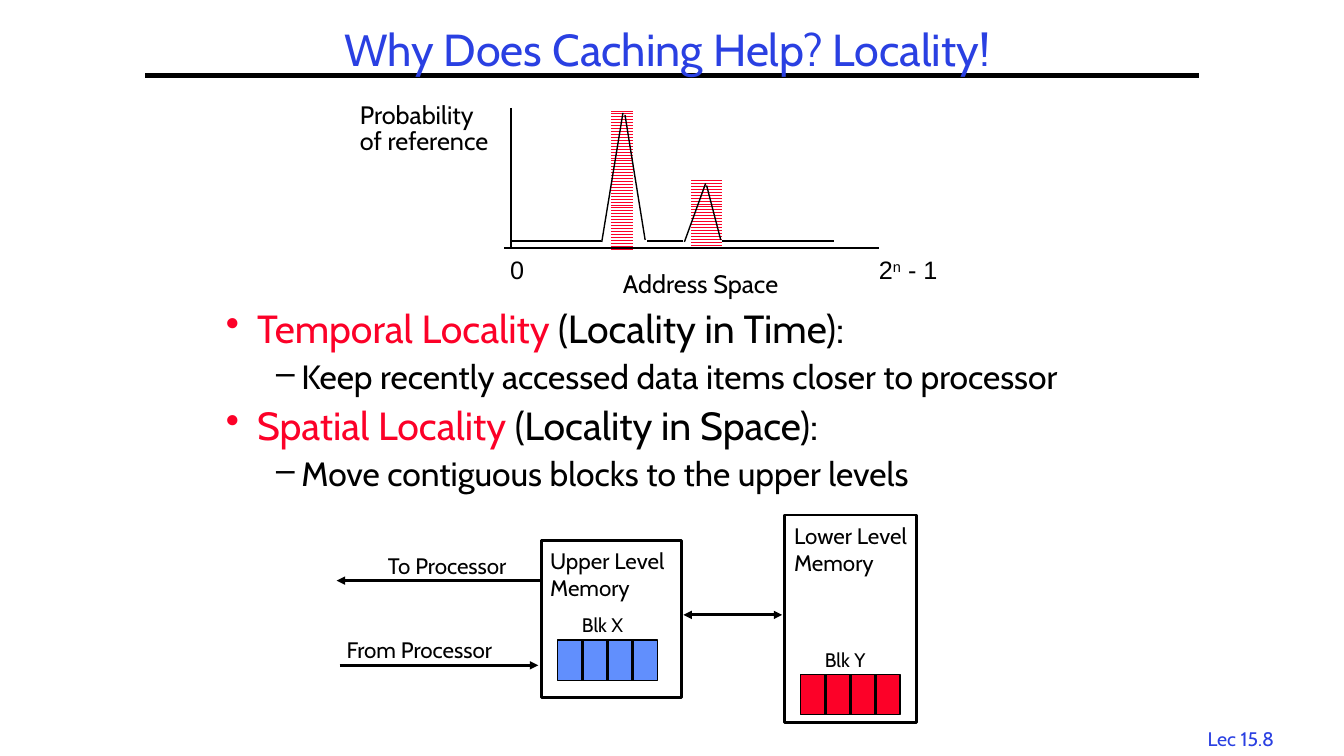
from dataclasses import dataclass
from typing import Optional

from lxml import etree
from pptx import Presentation
from pptx.dml.color import RGBColor
from pptx.enum.dml import MSO_PATTERN
from pptx.enum.shapes import MSO_CONNECTOR, MSO_SHAPE
from pptx.enum.text import MSO_ANCHOR, MSO_AUTO_SIZE, PP_ALIGN
from pptx.oxml.ns import qn
from pptx.util import Emu, Inches, Pt

RECTANGLE = MSO_SHAPE.RECTANGLE
STRAIGHT = MSO_CONNECTOR.STRAIGHT
ZIG_ZAG = MSO_PATTERN.ZIG_ZAG
LEFT, CENTER = PP_ALIGN.LEFT, PP_ALIGN.CENTER
TOP = MSO_ANCHOR.TOP
GROW, FIXED = MSO_AUTO_SIZE.SHAPE_TO_FIT_TEXT, MSO_AUTO_SIZE.NONE

BLACK = RGBColor(0x00, 0x00, 0x00)
WHITE = RGBColor(0xFF, 0xFF, 0xFF)
TITLE_BLUE = RGBColor(0x2A, 0x40, 0xE2)
BLOCK_BLUE = RGBColor(0x61, 0x8F, 0xFD)
RED = RGBColor(0xFC, 0x01, 0x28)

# Grid: ten columns and ten rows to the inch
CELL = Inches(0.1)
SLIDE_COLUMNS, SLIDE_ROWS = 133.33, 75
NARROW, WIDE = (0.7, 0.3), (1, 0.5)
BLOCK_COLUMNS, BLOCK_ROWS, BLOCK_PARTS = 9.9, 4, 4


def cells(count: float) -> Emu:
    return Emu(round(count * CELL))


@dataclass(frozen=True)
class Area:
    column: float
    row: float
    columns: float
    rows: float

    def lengths(self) -> list[Emu]:
        return [cells(n) for n in (self.column, self.row, self.columns, self.rows)]


@dataclass(frozen=True)
class Span:
    text: str
    color: RGBColor = BLACK
    raised: bool = False


@dataclass(frozen=True)
class Line:
    spans: tuple[Span, ...]
    size: float
    bullet: str = ""
    margin: float = 0
    hanging: float = 0
    before: float = 0


@dataclass(frozen=True)
class Stroke:
    start: tuple[float, float]
    end: tuple[float, float]
    width: float = 1
    arrows: tuple[str, ...] = ()


@dataclass(frozen=True)
class Label:
    text: str
    area: Area
    size: float = 16
    inset: tuple[float, float] = WIDE
    spacing: Optional[float] = None


@dataclass(frozen=True)
class Block:
    name: str
    column: float
    row: float
    color: RGBColor


def plain(text: str, size: float, color: RGBColor = BLACK) -> list[Line]:
    return [Line((Span(part, color),), size) for part in text.split("\n")]


def add_text(slide, area: Area, lines: list[Line], *, font: str = "Cabin",
             align=LEFT, inset: tuple[float, float] = WIDE,
             spacing: Optional[float] = None, wrap: bool = False) -> None:
    frame = slide.shapes.add_textbox(*area.lengths()).text_frame
    frame.word_wrap = wrap
    frame.auto_size = FIXED if wrap else GROW
    frame.vertical_anchor = TOP
    frame.margin_left = frame.margin_right = cells(inset[0])
    frame.margin_top = frame.margin_bottom = cells(inset[1])
    for index, line in enumerate(lines):
        paragraph = frame.add_paragraph() if index else frame.paragraphs[0]
        if line.bullet:
            properties = paragraph._p.get_or_add_pPr()
            properties.set("marL", str(cells(line.margin)))
            properties.set("indent", str(-cells(line.hanging)))
            etree.SubElement(properties, qn("a:buChar")).set("char", line.bullet)
        paragraph.alignment = align
        if spacing:
            paragraph.line_spacing = spacing
        if index and line.before:
            paragraph.space_before = Pt(line.before)
        for span in line.spans:
            run = paragraph.add_run()
            run.text = span.text
            run.font.name = font
            run.font.size = Pt(line.size)
            run.font.color.rgb = span.color
            if span.raised:
                run._r.get_or_add_rPr().set("baseline", "30000")


def add_stroke(slide, stroke: Stroke) -> None:
    ends = [cells(n) for n in (*stroke.start, *stroke.end)]
    connector = slide.shapes.add_connector(STRAIGHT, *ends)
    connector.line.color.rgb = BLACK
    connector.line.width = Pt(stroke.width)
    for arrow in stroke.arrows:
        etree.SubElement(connector.line._get_or_add_ln(), qn(arrow)).set("type", "triangle")
    etree.SubElement(connector._element.spPr, qn("a:effectLst"))


def add_rectangle(slide, area: Area, *, color: Optional[RGBColor] = None,
                  outline: float = 0, striped: bool = False) -> None:
    shape = slide.shapes.add_shape(RECTANGLE, *area.lengths())
    shape.shadow.inherit = False
    if striped:
        shape.fill.patterned()
        shape.fill.pattern = ZIG_ZAG
        shape.fill.fore_color.rgb = color
        shape.fill.back_color.rgb = WHITE
    elif color is not None:
        shape.fill.solid()
        shape.fill.fore_color.rgb = color
    else:
        shape.fill.background()
    if outline:
        shape.line.color.rgb = BLACK
        shape.line.width = Pt(outline)
    else:
        shape.line.fill.background()


def add_block(slide, block: Block) -> None:
    add_rectangle(slide, Area(block.column, block.row, BLOCK_COLUMNS, BLOCK_ROWS),
                  color=block.color, outline=1)
    for part in range(1, BLOCK_PARTS):
        column = block.column + part * BLOCK_COLUMNS / BLOCK_PARTS
        add_stroke(slide, Stroke((column, block.row), (column, block.row + BLOCK_ROWS), 2))
    add_text(slide, Area(block.column + 1.45, block.row - 3.15, 6.6, 3.3),
             plain(block.name, 14))


HEAD, TAIL = "a:headEnd", "a:tailEnd"
LOCALITIES = (
    ("Temporal Locality ", "(Locality in Time):",
     "Keep recently accessed data items closer to processor"),
    ("Spatial Locality ", "(Locality in Space):",
     "Move contiguous blocks to the upper levels"),
)
PEAKS = (Area(68.6, 17.6, 3, 7), Area(60.6, 10.7, 2.2, 14))
AXES = (Stroke((50.7, 10.7), (50.7, 24.5)), Stroke((50, 24.6), (87.2, 24.6)))
CURVE = (
    Stroke((50.7, 23.9), (59.6, 23.9)),
    Stroke((59.7, 24), (61.8, 11.2)),
    Stroke((62, 11.4), (64, 23.8)),
    Stroke((64.2, 23.9), (67.8, 23.9)),
    Stroke((67.9, 24), (70, 18.2)),
    Stroke((70.1, 18.4), (71.5, 23.8)),
    Stroke((71.6, 23.9), (82.7, 23.9)),
)
ARROWS = (
    Stroke((53.7, 57.6), (33.4, 57.6), 2, (TAIL,)),
    Stroke((33.7, 66), (53.4, 66), 2, (TAIL,)),
    Stroke((67.8, 61), (77.6, 61), 2, (HEAD, TAIL)),
)
LABELS = (
    Label("Address Space", Area(61.1, 26.8, 18.5, 3.1), 18, NARROW, 0.85),
    Label("Probability\nof reference", Area(35, 10, 14.9, 5.7), 18, NARROW, 0.85),
    Label("Lower Level\nMemory", Area(77.8, 51.3, 14.1, 6.4)),
    Label("Upper Level\nMemory", Area(53.6, 53.8, 14.1, 6.4)),
    Label("To Processor", Area(37.5, 54.3, 15.1, 3.7)),
    Label("From Processor", Area(33.4, 62.6, 18, 3.7)),
)
AXIS_ENDS = (
    (Area(49.9, 25.4, 2.8, 3.1), (Span("0"),)),
    (Area(86.5, 25.4, 7.4, 3.1), (Span("2"), Span("n", raised=True), Span(" - 1"))),
)
BLOCKS = (Block("Blk X", 55.3, 63.5, BLOCK_BLUE), Block("Blk Y", 79.4, 66.9, RED))


def main() -> None:
    presentation = Presentation()
    presentation.slide_width = cells(SLIDE_COLUMNS)
    presentation.slide_height = cells(SLIDE_ROWS)
    slide = presentation.slides.add_slide(presentation.slide_layouts[6])

    # Title, rule and lecture number
    add_text(slide, Area(117.7, 71.6, 10.8, 3.3), plain("Lec 15.8", 14, TITLE_BLUE), align=CENTER)
    add_stroke(slide, Stroke((14.4, 7.5), (118.9, 7.5), 3))
    add_text(slide, Area(31, 2.5, 70.4, 5.4),
             plain("Why Does Caching Help? Locality!", 32, TITLE_BLUE),
             align=CENTER, inset=NARROW, spacing=0.9)

    # Kinds of locality
    lines = []
    for name, meaning, advice in LOCALITIES:
        lines.append(Line((Span(name, RED), Span(meaning)), 28, "•", 3.1, 3.1, 7))
        lines.append(Line((Span(advice),), 24, "–", 7.5, 2.5, 6))
    add_text(slide, Area(21.7, 30.4, 93.3, 19.6), lines, inset=NARROW, spacing=0.9, wrap=True)

    # Probability sketch
    for peak in PEAKS:
        add_rectangle(slide, peak, color=RED, striped=True)
    for area, spans in AXIS_ENDS:
        add_text(slide, area, [Line(spans, 18)], font="Arial", inset=NARROW, spacing=0.85)

    # Memory levels
    add_rectangle(slide, Area(53.7, 53.6, 13.9, 15.6), outline=2)
    add_rectangle(slide, Area(77.8, 51.1, 13.1, 20.6), color=WHITE, outline=2)
    for block in BLOCKS:
        add_block(slide, block)

    # Strokes and labels of both drawings
    for stroke in AXES + CURVE + ARROWS:
        add_stroke(slide, stroke)
    for label in LABELS:
        add_text(slide, label.area, plain(label.text, label.size),
                 inset=label.inset, spacing=label.spacing)
    presentation.save("out.pptx")


if __name__ == "__main__":
    main()
